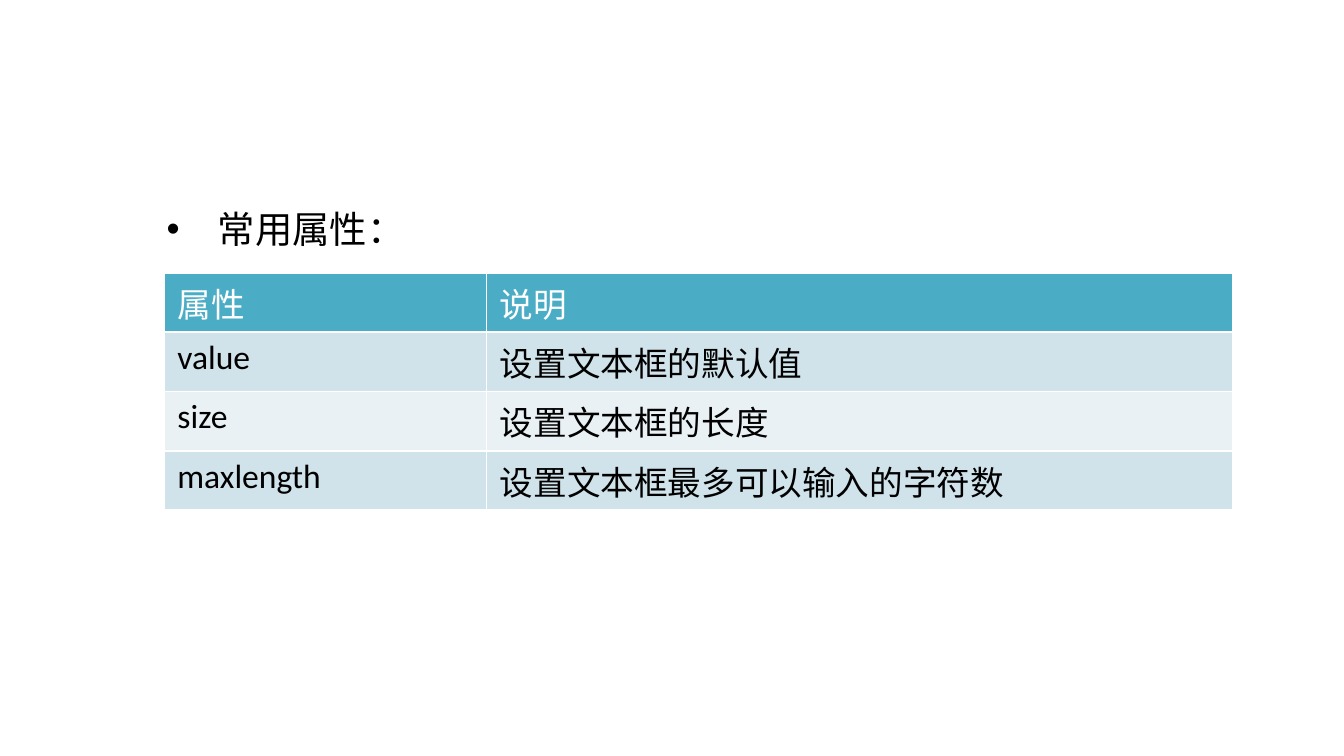
from pptx import Presentation
from pptx import util as u
from pptx.dml.color import RGBColor
from pptx.enum import text
from pptx.oxml import parse_xml
from pptx.oxml.ns import nsdecls


def color(hex_value):
    return RGBColor.from_string(hex_value)


class AttributeSlide:
    FONT = "Calibri"
    BLACK, WHITE = "000000", "FFFFFF"
    HEADER, BANDS = "4BACC6", ("D0E3EA", "E9F1F5")

    def __init__(self, deck):
        self.slide = deck.slides.add_slide(deck.slide_layouts[1])
        title = self.slide.shapes.title
        title.element.getparent().remove(title.element)

    def style(self, paragraph, size, hex_value):
        for run in paragraph.runs:
            run.font.name = self.FONT
            run.font.size = u.Pt(size)
            run.font.bold = False
            run.font.color.rgb = color(hex_value)

    def bullet(self, words, left, top, width, height):
        body = self.slide.placeholders[1]
        body.left, body.top, body.width, body.height = map(
            u.Inches, (left, top, width, height))
        frame = body.text_frame
        frame.text = words
        frame.word_wrap = True
        frame.auto_size = text.MSO_AUTO_SIZE.NONE
        frame.vertical_anchor = text.MSO_ANCHOR.TOP
        paragraph = frame.paragraphs[0]
        paragraph.line_spacing = 1.5
        paragraph.space_before = u.Pt(4)
        self.style(paragraph, 20, self.BLACK)
        props = paragraph._p.get_or_add_pPr()
        props.set("marL", str(u.Inches(0.38)))
        props.set("indent", str(u.Inches(-0.38)))
        props.append(parse_xml(f'<a:buFont {nsdecls("a")} typeface="Arial"/>'))
        props.append(parse_xml(f'<a:buChar {nsdecls("a")} char="•"/>'))

    def border(self, cell):
        props = cell._tc.get_or_add_tcPr()
        for position, side in enumerate(("lnL", "lnR", "lnT", "lnB")):
            props.insert(position, parse_xml(
                f'<a:{side} {nsdecls("a")} w="{u.Pt(1)}"><a:solidFill>'
                f'<a:srgbClr val="{self.WHITE}"/></a:solidFill></a:{side}>'))

    def table(self, rows, left, top, widths, row_height):
        grid = self.slide.shapes.add_table(
            len(rows), len(widths), u.Inches(left), u.Inches(top),
            u.Inches(sum(widths)), u.Inches(row_height * len(rows))).table
        for column, width in zip(grid.columns, widths):
            column.width = u.Inches(width)
        for r, row in enumerate(rows):
            header = r == 0
            fill = self.HEADER if header else self.BANDS[(r - 1) % 2]
            for c, words in enumerate(row):
                cell = grid.cell(r, c)
                cell.text = words
                cell.margin_left = cell.margin_right = u.Inches(0.1)
                cell.margin_top = cell.margin_bottom = u.Inches(0.04)
                cell.fill.solid()
                cell.fill.fore_color.rgb = color(fill)
                self.style(cell.text_frame.paragraphs[0], 18,
                           self.WHITE if header else self.BLACK)
                self.border(cell)


# Widescreen page, 16:9
deck = Presentation()
deck.slide_width = u.Inches(10)
deck.slide_height = u.Inches(10 * 9 / 16)
page = AttributeSlide(deck)

# Heading bullet
page.bullet("常用属性：", 1.14, 1.32, 8.91, 0.59)

# Attributes and their meaning
attributes = [
    ("属性", "说明"),
    ("value", "设置文本框的默认值"),
    ("size", "设置文本框的长度"),
    ("maxlength", "设置文本框最多可以输入的字符数"),
]
page.table(attributes, 1.22, 2.03, (2.4, 5.55), 0.38)

deck.save("out.pptx")
